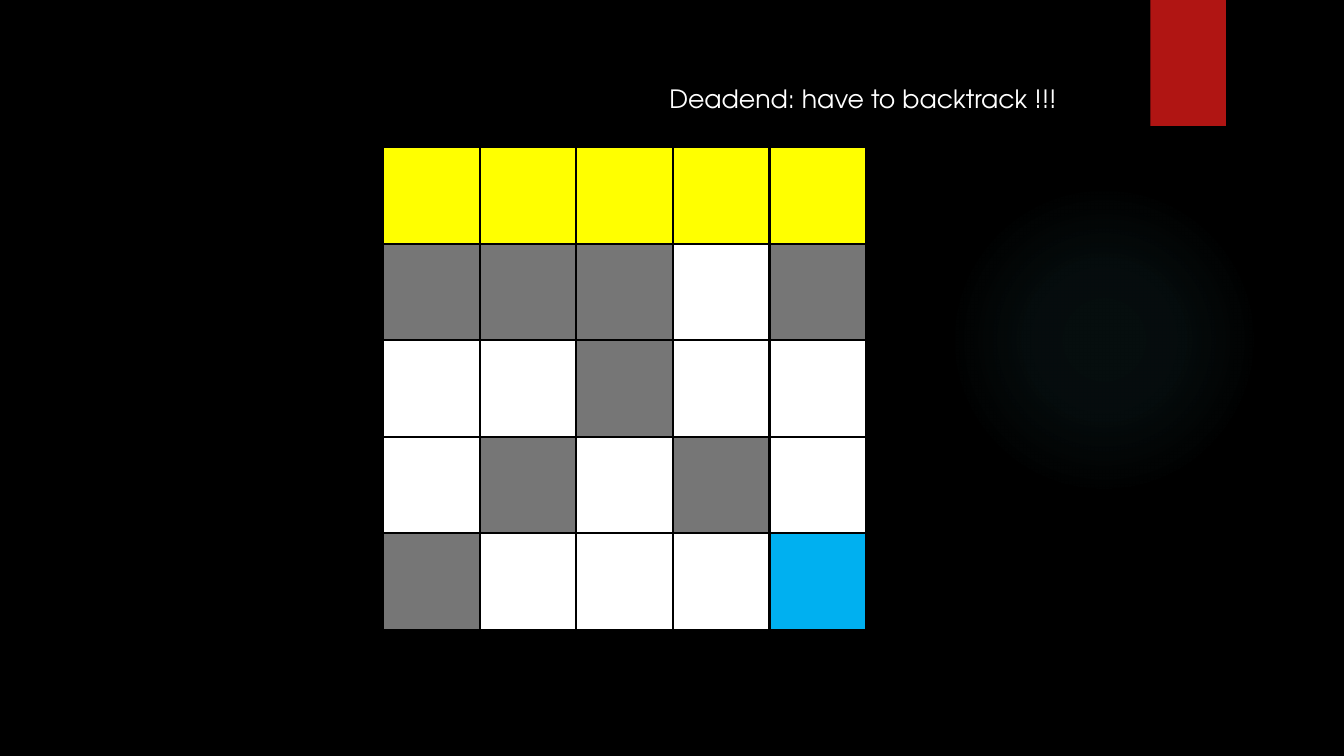
from dataclasses import dataclass

from lxml import etree
from pptx import Presentation
from pptx.dml.color import RGBColor
from pptx.enum.shapes import MSO_SHAPE
from pptx.enum.text import MSO_ANCHOR, MSO_AUTO_SIZE, PP_ALIGN
from pptx.util import Inches, Pt

RECTANGLE = MSO_SHAPE.RECTANGLE
OVAL = MSO_SHAPE.OVAL
TOP = MSO_ANCHOR.TOP
FIT_SHAPE = MSO_AUTO_SIZE.SHAPE_TO_FIT_TEXT
LEFT = PP_ALIGN.LEFT
DRAWING = "http://schemas.openxmlformats.org/drawingml/2006/main"


@dataclass(frozen=True)
class Theme:
    background: str = "000000"
    glow: str = "50B9C1"
    banner: str = "B01513"
    visited: str = "FFFF00"
    wall: str = "767676"
    free: str = "FFFFFF"
    goal: str = "00B0F0"
    text: str = "FFFFFF"
    font: str = "TeX Gyre Adventor"
    caption_size: int = 18
    cell_line: float = 1.5


THEME = Theme()

# V = visited, W = wall, F = free, G = goal
MAZE = ["VVVVV", "WWWFW", "FFWFF", "FWFWF", "WFFFG"]
CELL_COLORS = {"V": THEME.visited, "W": THEME.wall, "F": THEME.free, "G": THEME.goal}

# Glow stops: position and opacity, in percent
GLOW_STOPS = [(0, 7), (36, 6), (69, 0)]


def color(value):
    return RGBColor.from_string(value)


def add_block(slide, kind, box, fill, line=None):
    """Add a flat preset shape, outlined only when a line colour is given."""
    shape = slide.shapes.add_shape(kind, *(Inches(length) for length in box))
    shape.shadow.inherit = False
    shape.fill.solid()
    shape.fill.fore_color.rgb = color(fill)
    if line:
        shape.line.color.rgb = color(line)
        shape.line.width = Pt(THEME.cell_line)
    else:
        shape.line.fill.background()
    return shape


def add_glow(slide, box):
    """Add a faint circle that fades from its centre."""
    shape = add_block(slide, OVAL, box, THEME.glow)
    stops = "".join(
        f'<a:gs pos="{position * 1000}"><a:srgbClr val="{THEME.glow}">'
        f'<a:alpha val="{opacity * 1000}"/></a:srgbClr></a:gs>'
        for position, opacity in GLOW_STOPS
    )
    gradient = etree.fromstring(
        f'<a:gradFill xmlns:a="{DRAWING}" rotWithShape="1"><a:gsLst>{stops}</a:gsLst>'
        '<a:path path="circle"><a:fillToRect l="50000" t="50000" r="50000" b="50000"/>'
        "</a:path></a:gradFill>"
    )
    properties = shape._element.spPr
    properties.replace(properties.find(f"{{{DRAWING}}}solidFill"), gradient)


def add_maze(slide, box):
    """Divide the box into equal cells, coloured by their state."""
    left, top, width, height = box
    cell_height = height / len(MAZE)
    for row, states in enumerate(MAZE):
        cell_width = width / len(states)
        for column, state in enumerate(states):
            cell = (left + column * cell_width, top + row * cell_height,
                    cell_width, cell_height)
            add_block(slide, RECTANGLE, cell, CELL_COLORS[state], THEME.background)


def add_caption(slide, box, text):
    """Add a single line of text."""
    caption = slide.shapes.add_textbox(*(Inches(length) for length in box))
    frame = caption.text_frame
    frame_format = {"word_wrap": False, "auto_size": FIT_SHAPE, "vertical_anchor": TOP}
    for name, value in frame_format.items():
        setattr(frame, name, value)
    paragraph = frame.paragraphs[0]
    paragraph.text = text
    paragraph.alignment = LEFT
    font_format = {"name": THEME.font, "size": Pt(THEME.caption_size), "bold": False}
    for name, value in font_format.items():
        setattr(paragraph.runs[0].font, name, value)
    paragraph.runs[0].font.color.rgb = color(THEME.text)


def build_maze_slide(presentation):
    slide = presentation.slides.add_slide(presentation.slide_layouts[6])
    slide.background.fill.solid()
    slide.background.fill.fore_color.rgb = color(THEME.background)
    # Backdrop
    add_glow(slide, (9.41, 1.83, 3.08, 3.08))
    add_block(slide, RECTANGLE, (11.41, 0, 0.75, 1.25), THEME.banner)
    # Maze and its caption
    add_maze(slide, (3.8, 1.46, 4.79, 4.79))
    add_caption(slide, (6.54, 0.78, 4.1, 0.4), "Deadend: have to backtrack !!!")


presentation = Presentation()
presentation.slide_width = Inches(13.33)
presentation.slide_height = Inches(7.5)
build_maze_slide(presentation)
presentation.save("out.pptx")
